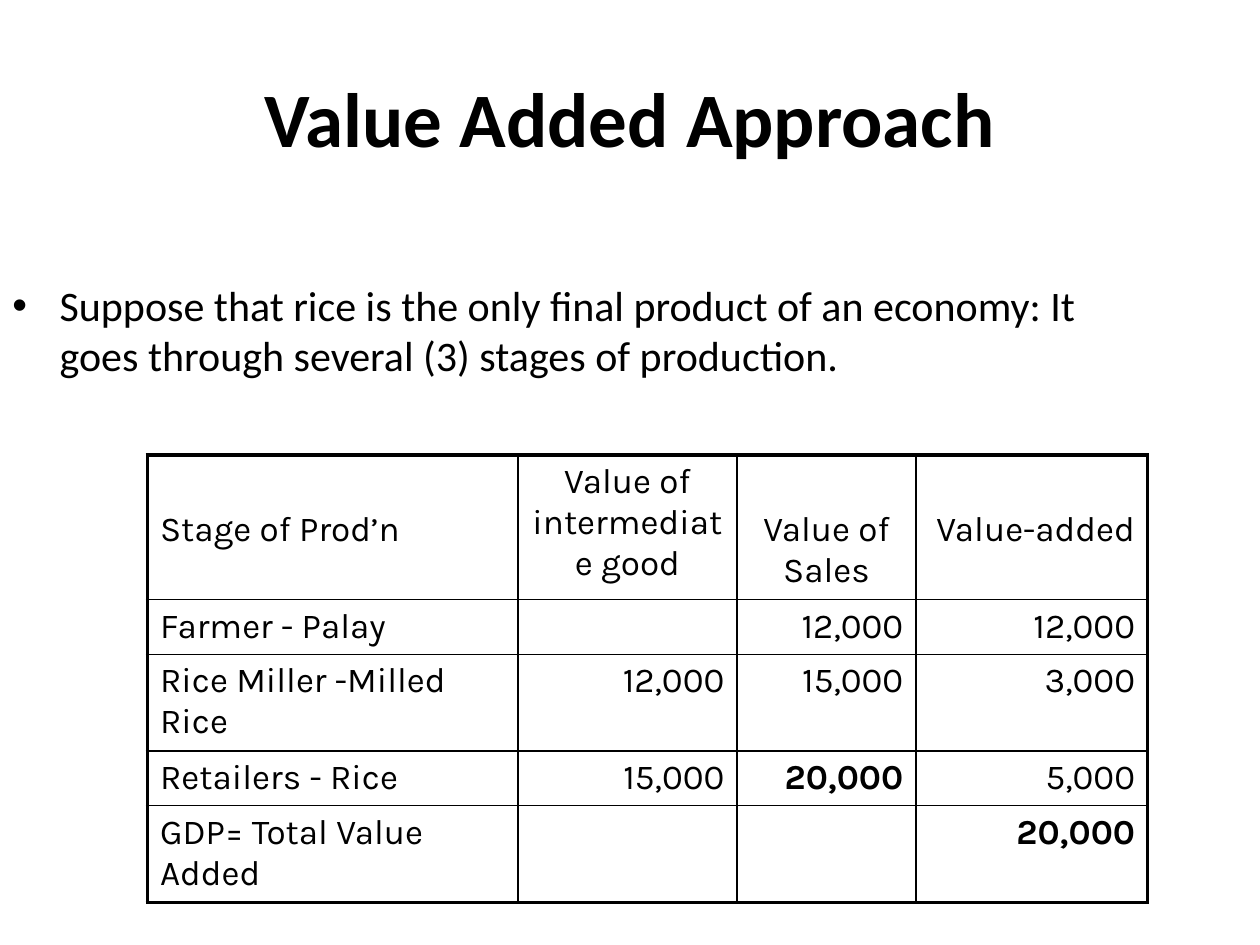
from dataclasses import dataclass

from lxml.etree import SubElement
from pptx import Presentation
from pptx.dml.color import RGBColor
from pptx.enum.text import MSO_ANCHOR as Anchor, PP_ALIGN as Align
from pptx.oxml.ns import qn
from pptx.util import Pt


@dataclass(frozen=True)
class Theme:
    ink: str = "000000"
    text_font: str = "Calibri"
    table_font: str = "Karla"
    title_size: float = 44
    body_size: float = 24
    table_size: float = 20
    thin_line: float = 1
    frame_line: float = 2.25


THEME = Theme()

TITLE_BOX = (36, 21.6, 648, 90)
BODY_BOX = (0, 156.24, 648, 72)
TABLE_BOX = (84.24, 260, 571.68, 257)
COLUMN_WIDTHS = (211.68, 125.28, 102.24, 132.48)
ROW_HEIGHTS = (78.48, 28.8, 51.12, 28.8, 28.8)
HEADER_DROP = 31  # top margin that lowers the short headings by one line

ROWS = (
    ("Stage of Prod’n", "Value of intermediate good", "Value of Sales", "Value-added"),
    ("Farmer - Palay", "", "12,000", "12,000"),
    ("Rice Miller -Milled Rice", "12,000", "15,000", "3,000"),
    ("Retailers - Rice", "15,000", "20,000", "5,000"),
    ("GDP= Total Value Added", "", "", "20,000"),
)
HEADER_ALIGN = (Align.LEFT, Align.CENTER, Align.CENTER, Align.RIGHT)
VALUE_ALIGN = (Align.LEFT, Align.RIGHT, Align.RIGHT, Align.RIGHT)
BOLD_CELLS = {(3, 2), (4, 3)}


def points(values):
    return [Pt(value) for value in values]


def style_text(paragraph, font_name, size, bold=False):
    for run in paragraph.runs:
        run.font.name = font_name
        run.font.size = Pt(size)
        run.font.bold = bold
        run.font.color.rgb = RGBColor.from_string(THEME.ink)


def add_text(slide, box, text, size, bold=False):
    """Add a wrapped text box and return its frame."""
    frame = slide.shapes.add_textbox(*points(box)).text_frame
    frame.word_wrap = True
    frame.text = text
    style_text(frame.paragraphs[0], THEME.text_font, size, bold)
    return frame


def add_title(slide, box):
    frame = add_text(slide, box, "Value Added Approach", THEME.title_size, True)
    frame.vertical_anchor = Anchor.MIDDLE
    frame.paragraphs[0].alignment = Align.CENTER


def add_body(slide, box):
    frame = add_text(
        slide,
        box,
        "Suppose that rice is the only final product of an economy: "
        "It goes through several (3) stages of production.",
        THEME.body_size,
    )
    properties = frame.paragraphs[0]._p.get_or_add_pPr()
    properties.set("marL", str(Pt(27)))
    properties.set("indent", str(Pt(-27)))
    SubElement(properties, qn("a:buFont"), typeface="Arial")
    SubElement(properties, qn("a:buChar"), char="•")


def set_borders(cell, row, column):
    """Draw a heavy line on the table's outer edges and thin lines inside."""
    outer_edges = {
        "a:lnL": column == 0,
        "a:lnR": column == len(COLUMN_WIDTHS) - 1,
        "a:lnT": row == 0,
        "a:lnB": row == len(ROWS) - 1,
    }
    properties = cell._tc.get_or_add_tcPr()
    for tag, is_outer in outer_edges.items():
        width = THEME.frame_line if is_outer else THEME.thin_line
        line = SubElement(properties, qn(tag), w=str(Pt(width)))
        fill = SubElement(line, qn("a:solidFill"))
        SubElement(fill, qn("a:srgbClr"), val=THEME.ink)


def fill_cell(cell, row, column, text):
    set_borders(cell, row, column)
    cell.fill.background()
    cell.vertical_anchor = Anchor.TOP
    if row == 0 and column != 1:
        cell.margin_top = Pt(HEADER_DROP)
    cell.text = text
    paragraph = cell.text_frame.paragraphs[0]
    paragraph.alignment = (VALUE_ALIGN if row else HEADER_ALIGN)[column]
    style_text(paragraph, THEME.table_font, THEME.table_size, (row, column) in BOLD_CELLS)


def add_value_table(slide, box):
    shape = slide.shapes.add_table(len(ROWS), len(COLUMN_WIDTHS), *points(box))
    table = shape.table
    table.first_row = False
    table.horz_banding = False
    for column, width in zip(table.columns, COLUMN_WIDTHS):
        column.width = Pt(width)
    for row, height in zip(table.rows, ROW_HEIGHTS):
        row.height = Pt(height)
    shape.height = Pt(box[3])
    for row, texts in enumerate(ROWS):
        for column, text in enumerate(texts):
            fill_cell(table.cell(row, column), row, column, text)


def main():
    presentation = Presentation()
    presentation.slide_width = Pt(720)
    presentation.slide_height = Pt(540)
    slide = presentation.slides.add_slide(presentation.slide_layouts[6])
    add_title(slide, TITLE_BOX)
    add_body(slide, BODY_BOX)
    add_value_table(slide, TABLE_BOX)
    presentation.save("out.pptx")


if __name__ == "__main__":
    main()
